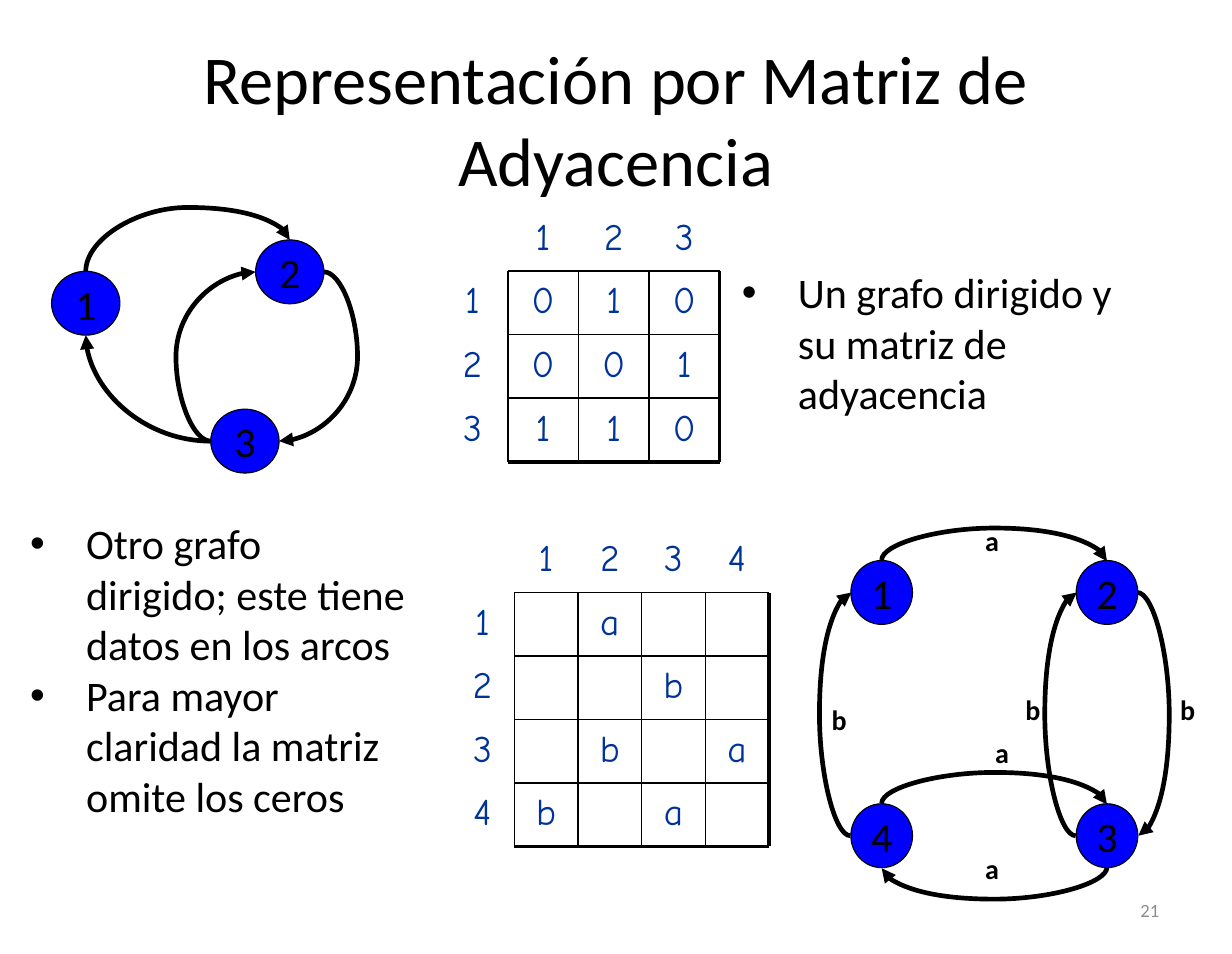
from lxml import etree
from pptx import Presentation
from pptx import util as u
from pptx.dml.color import RGBColor
from pptx.enum import shapes, text
from pptx.oxml.ns import qn

PX = 9144  # EMU per px, 100 px to the inch
BLACK = RGBColor(0x00, 0x00, 0x00)
BLUE = RGBColor(0x00, 0x00, 0xFF)
NAVY = RGBColor(0x00, 0x33, 0x99)
GRAY = RGBColor(0x8C, 0x8C, 0x8C)
LEFT, CENTER, RIGHT = text.PP_ALIGN.LEFT, text.PP_ALIGN.CENTER, text.PP_ALIGN.RIGHT
TOP, MIDDLE = text.MSO_ANCHOR.TOP, text.MSO_ANCHOR.MIDDLE
NO_GRID = "{2D5ABB26-0587-4C30-8999-92F81FD0307C}"  # table style without lines
# Side of a node: connection site of the ellipse, position across and down
SIDES = {"top": (0, 0.5, 0), "left": (2, 0, 0.5),
         "bottom": (4, 0.5, 1), "right": (6, 1, 0.5)}

prs = Presentation()
prs.slide_width, prs.slide_height = 1099 * PX, 851 * PX
s = prs.slides.add_slide(prs.slide_layouts[6])


def write(tf, lines, size, color=BLACK, align=LEFT, anchor=TOP, font="Calibri", bold=False):
    """Fill a text frame with evenly formatted paragraphs."""
    tf.text = "\n".join(lines)
    tf.vertical_anchor = anchor
    for p in tf.paragraphs:
        p.alignment = align
        for r in p.runs:
            r.font.name, r.font.size, r.font.bold = font, u.Pt(size), bold
            r.font.color.rgb = color


def arc(a, side_a, b, side_b, via=None):
    """Curved arrow between two nodes; via is the px its bulge reaches."""
    site_a, ax, ay = SIDES[side_a]
    site_b, bx, by = SIDES[side_b]
    x1, y1 = a.left + ax * a.width, a.top + ay * a.height
    x2, y2 = b.left + bx * b.width, b.top + by * b.height
    vertical = side_a in ("top", "bottom")
    dx, dy = x2 - x1, y2 - y1
    # Run and rise in the connector's own frame, turned 90° when it leaves vertically
    run, rise = (dy or PX, -dx) if vertical else (dx or PX, dy)
    w, h = abs(run), abs(rise)
    c = s.shapes.add_connector(shapes.MSO_CONNECTOR.CURVE, 0, 0, 0, 0)
    c.left, c.top = int((x1 + x2 - w) / 2), int((y1 + y2 - h) / 2)
    c.width, c.height = int(w), int(h)
    rot, flip_h, flip_v = 90 if vertical else 0, run < 0, rise < 0
    if flip_v and (flip_h or not vertical):
        rot, flip_h, flip_v = rot + 180, not flip_h, False
    xfrm = c.element.spPr.find(qn("a:xfrm"))
    for name, value in (("rot", rot * 60000), ("flipH", int(flip_h)), ("flipV", int(flip_v))):
        if value:
            xfrm.set(name, str(value))
    geom = c.element.spPr.find(qn("a:prstGeom"))
    if via is None:
        geom.set("prst", "curvedConnector2")
    else:
        bulge = (via * PX - (y1 if vertical else x1)) / run
        etree.SubElement(geom.find(qn("a:avLst")), qn("a:gd"), name="adj1",
                         fmla=f"val {round(bulge * 100000)}")
    ends = c.element.find(".//" + qn("p:cNvCxnSpPr"))
    for tag, node, site in (("a:stCxn", a, site_a), ("a:endCxn", b, site_b)):
        etree.SubElement(ends, qn(tag), id=str(node.shape_id), idx=str(site))
    c.line.color.rgb, c.line.width = BLACK, u.Pt(3)
    etree.SubElement(c.line._get_or_add_ln(), qn("a:tailEnd"), type="triangle")
    etree.SubElement(c.element.spPr, qn("a:effectLst"))


# Title and slide number
for label, box, size, color, align in (
        ("Representación por Matriz de Adyacencia", (55, 34, 989, 142), 44, BLACK, CENTER),
        ("21", (788, 789, 256, 45), 12, GRAY, RIGHT)):
    tf = s.shapes.add_textbox(*(v * PX for v in box)).text_frame
    tf.word_wrap = True
    write(tf, [label], size, color, align, MIDDLE)

# Bulleted notes
for box, lines in (
        ((652, 233, 387, 146), ["Un grafo dirigido y su matriz de adyacencia"]),
        ((17, 457, 357, 283), ["Otro grafo dirigido; este tiene datos en los arcos",
                               "Para mayor claridad la matriz omite los ceros"])):
    tf = s.shapes.add_textbox(*(v * PX for v in box)).text_frame
    tf.word_wrap = True
    write(tf, lines, 27)
    for p in tf.paragraphs:
        pPr = p._p.get_or_add_pPr()
        pPr.set("marL", str(50 * PX))
        pPr.set("indent", str(-50 * PX))
        etree.SubElement(pPr, qn("a:buFont"), typeface="Arial")
        etree.SubElement(pPr, qn("a:buChar"), char="•")

# Adjacency matrices: the first row and column are unruled headings
for box, rows in (
        ((390, 185, 252, 227), [" 123", "1010", "2001", "3110"]),
        ((402, 472, 284, 283), [" 1234", "1 a  ", "2  b ", "3 b a", "4b a "])):
    n = len(rows)
    left, top, width, height = (v * PX for v in box)
    frame = s.shapes.add_table(n, n, left, top, width, height)
    table = frame.table
    table.first_row = table.horz_banding = False
    frame.element.find(".//" + qn("a:tableStyleId")).text = NO_GRID
    for i, row in enumerate(rows):
        for j, value in enumerate(row):
            cell = table.cell(i, j)
            cell.margin_left = cell.margin_right = cell.margin_top = 0
            cell.margin_bottom = 2 * PX
            write(cell.text_frame, [value.strip()], 24, NAVY, CENTER, font="Comic Neue")
            cell.vertical_anchor = MIDDLE
            cell.fill.background()

    # Rules of the matrix, heavier at the right and the bottom
    right, bottom = left + width, top + height
    for k in range(1, n + 1):
        x = left + width * min(k, n) // n
        y = top + height * k // n
        for ends in ((x, top + height // n, x, bottom), (left + width // n, y, right, y)):
            c = s.shapes.add_connector(shapes.MSO_CONNECTOR.STRAIGHT, *ends)
            c.line.color.rgb, c.line.width = BLACK, u.Pt(2.25 if k == n else 1)
            etree.SubElement(c.element.spPr, qn("a:effectLst"))

# Nodes of both graphs
graphs = []
for width, places in (
        (61, {1: (46, 242), 2: (228, 214), 3: (188, 365)}),
        (55, {1: (759, 500), 2: (960, 500), 3: (960, 717), 4: (759, 717)})):
    nodes = {}
    for number, (x, y) in places.items():
        sp = s.shapes.add_shape(shapes.MSO_SHAPE.OVAL, x * PX, y * PX, width * PX, 57 * PX)
        sp.shadow.inherit = False
        sp.fill.solid()
        sp.fill.fore_color.rgb = BLUE
        sp.line.color.rgb, sp.line.width = BLACK, u.Pt(0.75)
        sp.text_frame.word_wrap = False
        write(sp.text_frame, [str(number)], 27, align=CENTER, anchor=MIDDLE)
        nodes[number] = sp
    graphs.append(nodes)
plain, labelled = graphs

# Arcs of both graphs
for nodes, a, side_a, b, side_b, via in (
        (plain, 1, "top", 2, "top", 185),
        (plain, 3, "left", 1, "bottom", None),
        (plain, 2, "right", 3, "right", 319),
        (plain, 3, "left", 2, "left", 157),
        (labelled, 1, "top", 2, "top", 471),
        (labelled, 4, "left", 1, "left", 731),
        (labelled, 2, "right", 3, "right", 1044),
        (labelled, 3, "left", 2, "left", 932),
        (labelled, 4, "top", 3, "top", 689),
        (labelled, 3, "bottom", 4, "bottom", 803)):
    arc(nodes[a], side_a, nodes[b], side_b, via)

# Arc labels
for label, x, y in (("a", 869, 462), ("a", 878, 651), ("a", 869, 755),
                    ("b", 732, 622), ("b", 905, 613), ("b", 1043, 613)):
    tf = s.shapes.add_textbox(x * PX, y * PX, 27 * PX, 42 * PX).text_frame
    tf.word_wrap = True
    write(tf, [label], 18, bold=True)

prs.save("out.pptx")
